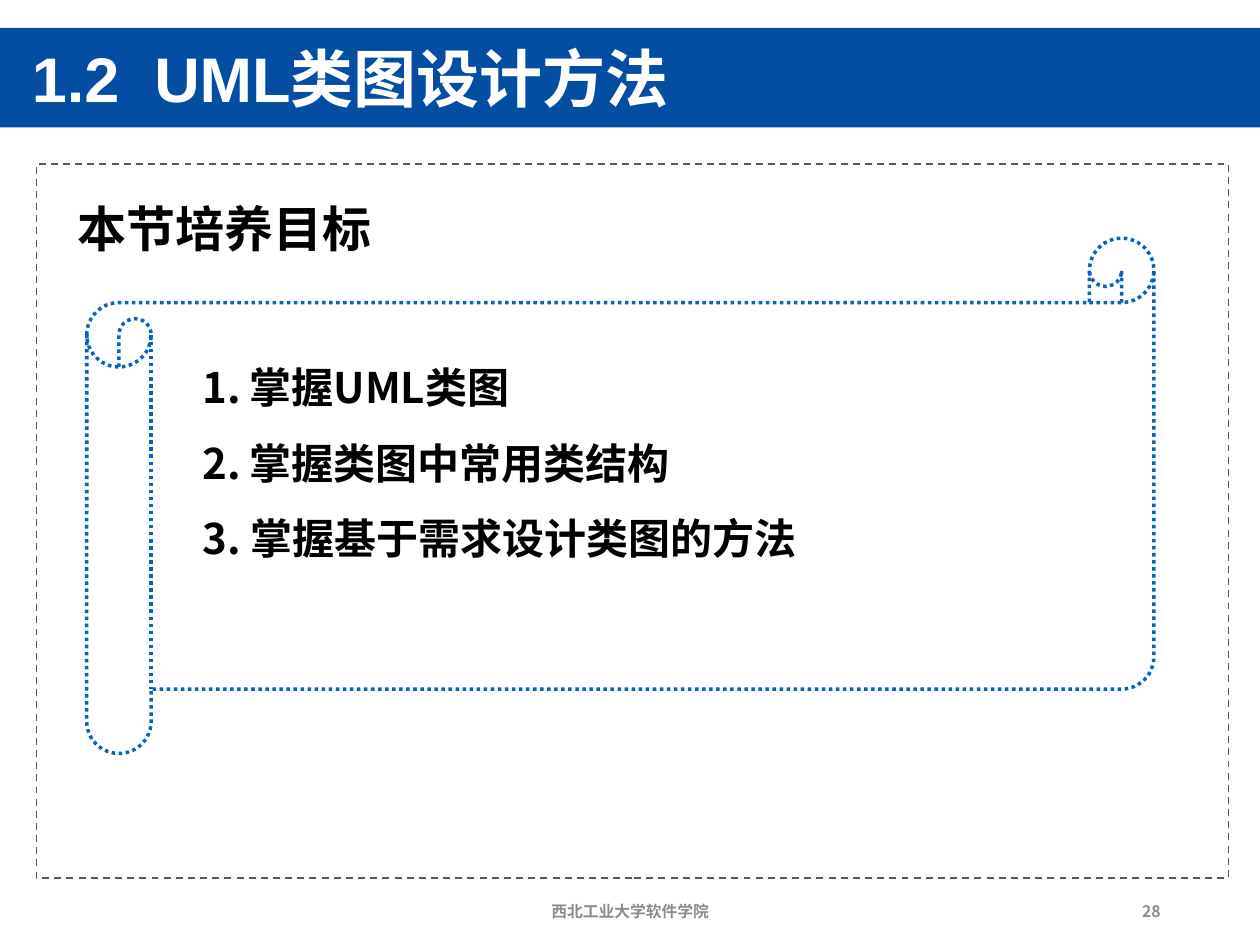
from lxml import etree
from pptx import Presentation
from pptx.dml.color import RGBColor
from pptx.enum import dml, shapes, text
from pptx.oxml import ns
from pptx.util import Pt

COLORS = {"band": "034EA2", "title": "FFFFFF", "body": "000000",
          "footer": "8C8C8C", "frame": "595959", "scroll": "0563C1"}
SANS = "Noto Sans CJK SC"
ALIGN = text.PP_ALIGN


def color(name):
    return RGBColor.from_string(COLORS[name])


def add_run(p, words, size, name, latin=SANS):
    r = p.add_run()
    r.text = words
    r.font.size, r.font.bold, r.font.name = Pt(size), True, latin
    r.font.color.rgb = color(name)
    ea = etree.SubElement(r._r.get_or_add_rPr(), ns.qn("a:ea"))
    ea.set("typeface", SANS)


def add_box(s, box, anchor=text.MSO_ANCHOR.MIDDLE):
    tf = s.shapes.add_textbox(*map(Pt, box)).text_frame
    tf.word_wrap = True
    tf.vertical_anchor = anchor
    return tf


def add_label(s, box, words, size, name, align=ALIGN.LEFT):
    p = add_box(s, box).paragraphs[0]
    p.alignment = align
    add_run(p, words, size, name)


def add_outline(s, kind, box, name, width, dash):
    sp = s.shapes.add_shape(kind, *map(Pt, box))
    sp.shadow.inherit = False
    sp.fill.background()
    sp.line.color.rgb = color(name)
    sp.line.width = Pt(width)
    sp.line.dash_style = dash


def add_header(s, box, words):
    x, y, w, h = box
    band = s.shapes.add_shape(shapes.MSO_SHAPE.RECTANGLE, *map(Pt, box))
    band.shadow.inherit = False
    band.fill.solid()
    band.fill.fore_color.rgb = color("band")
    band.line.fill.background()
    # The title lies in front of the band
    title = s.shapes.title
    title._element.addprevious(band._element)
    title.left, title.top = Pt(x + 11), Pt(y + 5)
    title.width, title.height = Pt(539), Pt(h - 5)
    tf = title.text_frame
    tf.vertical_anchor = text.MSO_ANCHOR.MIDDLE
    tf.auto_size = text.MSO_AUTO_SIZE.NONE
    p = tf.paragraphs[0]
    p.alignment, p.line_spacing = ALIGN.LEFT, 0.9
    add_run(p, words, 36, "title", "Arial")


def add_goals(s, box, heading, numbered, last):
    x, y, w, h = box
    line = dml.MSO_LINE
    add_outline(s, shapes.MSO_SHAPE.RECTANGLE, box, "frame", 1, line.DASH)
    add_label(s, (x + 16.5, y + 11.5, 630, 50.4), heading, 28, "body")
    # Scroll with the list of goals
    add_outline(s, shapes.MSO_SHAPE.HORIZONTAL_SCROLL,
                (x + 28.8, y + 42.5, 609.8, 294.5), "scroll", 2, line.ROUND_DOT)
    tf = add_box(s, (x + 87.8, y + 95, 504.7, 138.2), text.MSO_ANCHOR.TOP)
    for i, words in enumerate(numbered + [last]):
        p = tf.paragraphs[0] if i == 0 else tf.add_paragraph()
        p.alignment, p.line_spacing = ALIGN.JUSTIFY, 1.5
        if words != last:
            pPr = p._p.get_or_add_pPr()
            pPr.set("marL", str(Pt(27)))
            pPr.set("indent", str(-Pt(27)))
            bullet = etree.SubElement(pPr, ns.qn("a:buAutoNum"))
            bullet.set("type", "arabicPeriod")
        add_run(p, words, 24, "body")


def add_footer(s, box, words, number):
    x, y, w, h = box
    add_label(s, (x, y, 243.4, h), words, 9, "footer", ALIGN.CENTER)
    add_label(s, (x + w - 162, y, 162, h), number, 9, "footer", ALIGN.RIGHT)


def main():
    prs = Presentation()
    prs.slide_width, prs.slide_height = Pt(720), Pt(540)
    s = prs.slides.add_slide(prs.slide_layouts[5])
    add_header(s, (0, 16, 720, 56.8), "1.2  UML类图设计方法")
    add_goals(s, (20.8, 93.6, 681.2, 408.2), "本节培养目标",
              ["掌握UML类图", "掌握类图中常用类结构"],
              "3. 掌握基于需求设计类图的方法")
    add_footer(s, (238.3, 506.2, 432, 28.8), "西北工业大学软件学院", "28")
    prs.save("out.pptx")


if __name__ == "__main__":
    main()
